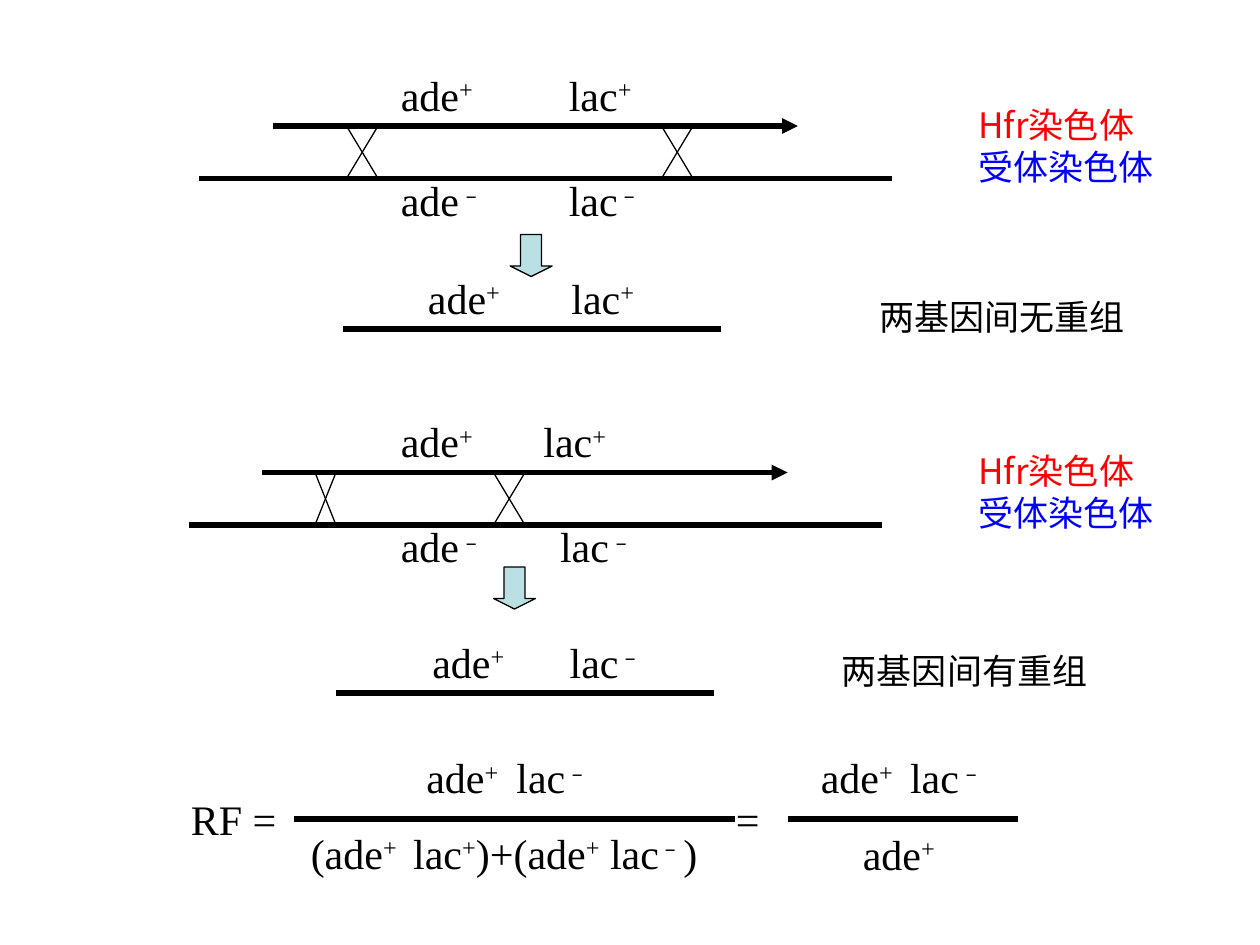
from dataclasses import dataclass

from lxml.etree import SubElement
from pptx import Presentation
from pptx.dml.color import RGBColor
from pptx.enum.shapes import MSO_CONNECTOR, MSO_SHAPE
from pptx.oxml.ns import qn
from pptx.util import Pt


@dataclass(frozen=True)
class Theme:
    black: RGBColor = RGBColor(0x00, 0x00, 0x00)
    donor: RGBColor = RGBColor(0xFF, 0x00, 0x00)
    recipient: RGBColor = RGBColor(0x00, 0x00, 0xFF)
    arrow: RGBColor = RGBColor(0xBB, 0xE0, 0xE3)
    serif: str = "Times New Roman"
    chinese: str = "Noto Sans CJK SC"
    gene_size: int = 24
    note_size: int = 20
    line_factor: float = 1.2
    thick: float = 3
    thin: float = 0.75


THEME = Theme()


@dataclass(frozen=True)
class Line:
    """One paragraph; parts of the text between ^ marks are superscript."""
    text: str
    tabs: tuple = ()
    color: RGBColor = THEME.black
    space_before: float = 0
    spacing: float = 1


def add_paragraph_tabs(paragraph, positions):
    tab_list = SubElement(paragraph._p.get_or_add_pPr(), qn("a:tabLst"))
    for position in positions:
        SubElement(tab_list, qn("a:tab"), pos=str(Pt(position)), algn="l")


def add_run(paragraph, text, size, font_name, color, raised):
    run = paragraph.add_run()
    run.text = text
    run.font.size = Pt(size)
    run.font.name = font_name
    run.font.color.rgb = color
    properties = run._r.get_or_add_rPr()
    if raised:
        properties.set("baseline", "30000")
    SubElement(properties, qn("a:ea"), typeface=THEME.chinese)


def add_text(slide, left, top, width, height, lines,
             size=THEME.gene_size, font_name=THEME.serif):
    shape = slide.shapes.add_textbox(Pt(left), Pt(top), Pt(width), Pt(height))
    frame = shape.text_frame
    frame.word_wrap = True
    for index, line in enumerate(lines):
        paragraph = frame.add_paragraph() if index else frame.paragraphs[0]
        if line.tabs:
            add_paragraph_tabs(paragraph, line.tabs)
        paragraph.line_spacing = Pt(size * THEME.line_factor * line.spacing)
        if line.space_before:
            paragraph.space_before = Pt(line.space_before)
        for position, part in enumerate(line.text.split("^")):
            if part:
                add_run(paragraph, part, size, font_name, line.color, position % 2 == 1)


def add_line(slide, start, end, width=THEME.thick, arrowhead=False):
    connector = slide.shapes.add_connector(
        MSO_CONNECTOR.STRAIGHT, *(Pt(value) for value in (*start, *end)))
    connector.line.color.rgb = THEME.black
    connector.line.width = Pt(width)
    if arrowhead:
        SubElement(connector.line._get_or_add_ln(), qn("a:tailEnd"), type="triangle")
    SubElement(connector._element.spPr, qn("a:effectLst"))


def add_crossover(slide, left, right, top, bottom):
    add_line(slide, (left, top), (right, bottom), THEME.thin)
    add_line(slide, (right, top), (left, bottom), THEME.thin)


def add_down_arrow(slide, left, top):
    shape = slide.shapes.add_shape(
        MSO_SHAPE.DOWN_ARROW, Pt(left), Pt(top), Pt(24), Pt(24))
    shape.adjustments[0] = 0.5
    shape.adjustments[1] = 0.25
    shape.shadow.inherit = False
    shape.fill.solid()
    shape.fill.fore_color.rgb = THEME.arrow
    shape.line.color.rgb = THEME.black
    shape.line.width = Pt(THEME.thin)


def add_pairing(slide, left, top, label_left, donor_tabs, recipient_tabs, crossovers):
    """Donor strand above recipient strand, with their genes and crossovers."""
    bottom = top + 30
    add_line(slide, (left + 42, top), (left + 342, top), arrowhead=True)
    add_line(slide, (left, bottom), (left + 396, bottom))
    add_text(slide, 552, top - 16.5, 120, 55.5,
             [Line("Hfr染色体", color=THEME.donor),
              Line("受体染色体", color=THEME.recipient)],
             THEME.note_size, THEME.chinese)
    add_text(slide, label_left, top - 36, 210, 36,
             [Line("\tade^+^\tlac^+", donor_tabs)])
    add_text(slide, label_left, top + 24, 210, 36,
             [Line("\tade^﹣^\tlac^﹣", recipient_tabs)])
    for start, end in crossovers:
        add_crossover(slide, start, end, top, bottom)


def add_product(slide, left, top, label_left, genes):
    """Resulting strand with its genes above it."""
    add_line(slide, (left, top), (left + 216, top))
    add_text(slide, label_left, top - 36, 174, 36, [genes])


def add_frequency_formula(slide):
    add_text(slide, 102, 450, 534, 36, [Line("RF =\t=", (311.5,))])
    add_text(slide, 170.5, 426, 242, 79,
             [Line("\tade^+^\tlac^﹣", (66, 117.5)),
              Line("(ade^+^\tlac^+^)+(ade^+^ lac^﹣^)", (58.5,), spacing=1.5)])
    add_text(slide, 462, 426, 144, 80,
             [Line("ade^+^\tlac^﹣", (51,)),
              Line("\tade^+", (24,), space_before=15)])
    add_line(slide, (168, 468), (420, 468))
    add_line(slide, (450, 468), (582, 468))


def main():
    presentation = Presentation()
    presentation.slide_width = Pt(720)
    presentation.slide_height = Pt(540)
    slide = presentation.slides.add_slide(presentation.slide_layouts[6])

    add_pairing(slide, 114, 72, 198, (24, 120), (24, 120), [(198, 216), (378, 396)])
    add_pairing(slide, 108, 270, 192, (30, 111.5), (30, 121), [(180, 192), (282, 300)])

    add_down_arrow(slide, 291.5, 134)
    add_product(slide, 196, 188, 225.5, Line("\tade^+^\tlac^+", (12, 94)))
    add_text(slide, 477.5, 165.5, 186, 32, [Line("\t两基因间无重组", (18,))],
             THEME.note_size, THEME.chinese)

    add_down_arrow(slide, 282, 324)
    add_product(slide, 192, 396, 228, Line("\tade^+^\tlac^﹣", (12, 90.5)))
    add_text(slide, 474, 367.5, 186, 32, [Line("两基因间有重组")], THEME.note_size)

    add_frequency_formula(slide)
    presentation.save("out.pptx")


if __name__ == "__main__":
    main()
